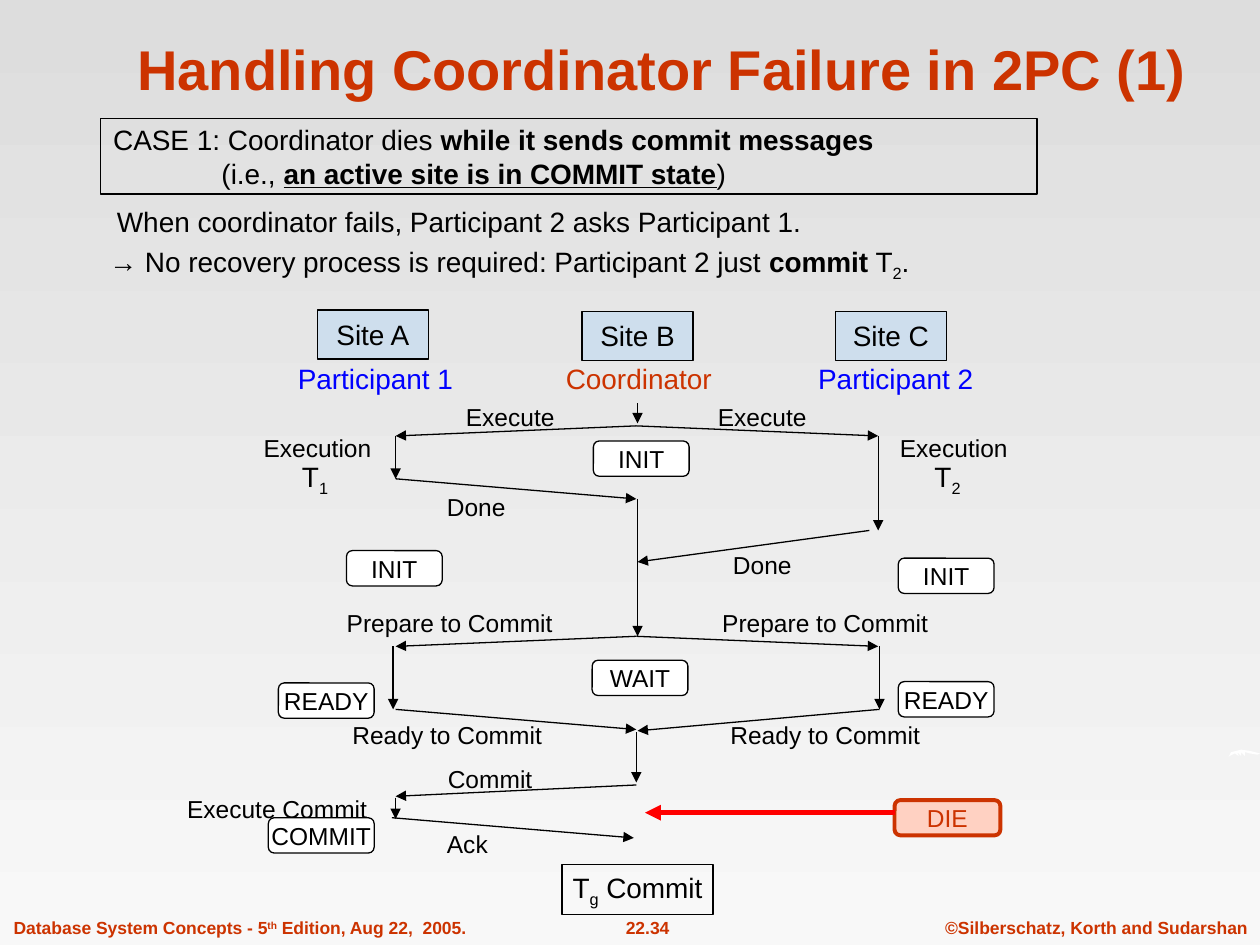
"""Build a slide on coordinator failure in two-phase commit."""
from lxml import etree
from pptx import Presentation
from pptx.dml.color import RGBColor
from pptx.enum.shapes import MSO_CONNECTOR, MSO_SHAPE
from pptx.enum.text import MSO_ANCHOR, PP_ALIGN
from pptx.oxml.ns import qn
from pptx.util import Inches, Pt

LEFT, CENTER, RIGHT = PP_ALIGN.LEFT, PP_ALIGN.CENTER, PP_ALIGN.RIGHT
MIDDLE, TOP, BOTTOM = MSO_ANCHOR.MIDDLE, MSO_ANCHOR.TOP, MSO_ANCHOR.BOTTOM
RECT, ROUNDED = MSO_SHAPE.RECTANGLE, MSO_SHAPE.ROUNDED_RECTANGLE
STRAIGHT = MSO_CONNECTOR.STRAIGHT

FONT = "Arial"
COLORS = {
    "black": "000000", "white": "FFFFFF", "rust": "CC3300", "blue": "0000FF",
    "red": "FF0000", "sky": "99CCFF", "peach": "FFD1C2",
    "page_top": "DDDDDD", "page_bottom": "F8F8F8",
}
BOLD = {"bold": True}
SUBSCRIPT = {"baseline": -25000}
SUPERSCRIPT = {"baseline": 30000}

TITLE = "Handling Coordinator Failure in 2PC (1)"
CASE = [
    ["CASE 1: Coordinator dies", (" while it sends commit messages", BOLD)],
    ["(i.e., ", ("an active site is in COMMIT state", {"bold": True, "underline": True}), ")"],
]
EXPLANATION = [
    ["When coordinator fails, Participant 2 asks Participant 1."],
    ["→ No recovery process is required: Participant 2 just ",
     ("commit", BOLD), " T", ("2", SUBSCRIPT), "."],
]
FOOTERS = [
    (["Database System Concepts - 5", ("th", SUPERSCRIPT), " Edition, Aug 22,  2005."],
     0.01, 3.79, LEFT),
    (["22.34"], 4.61, 1.06, CENTER),
    (["©Silberschatz, Korth and Sudarshan"], 7.0, 3.0, RIGHT),
]
SITES = [("Site A", 2.52, 2.46), ("Site B", 4.62, 2.47), ("Site C", 6.63, 2.47)]
ROLES = [("Participant 1", 2.98, "blue"), ("Coordinator", 5.07, "rust"),
         ("Participant 2", 7.11, "blue")]
MESSAGES = [
    ("Execute", 4.05, 3.31), ("Execute", 6.05, 3.31),
    ("Execution", 2.52, 3.55), ("Execution", 7.57, 3.55),
    ("Done", 3.78, 4.02), ("Done", 6.05, 4.48),
    ("Prepare to Commit", 3.57, 4.94), ("Prepare to Commit", 6.55, 4.94),
    ("Ready to Commit", 3.55, 5.83), ("Ready to Commit", 6.55, 5.83),
    ("Commit", 3.89, 6.18), ("Execute Commit", 2.2, 6.42), ("Ack", 3.71, 6.7),
]
TRANSACTIONS = [("1", 2.5), ("2", 7.52)]
STATES = [
    ("INIT", 4.71, 3.5, 0.76), ("INIT", 2.75, 4.37, 0.76), ("INIT", 7.13, 4.43, 0.76),
    ("WAIT", 4.7, 5.24, 0.76), ("READY", 2.21, 5.42, 0.76), ("READY", 7.13, 5.41, 0.76),
    ("COMMIT", 2.13, 6.49, 0.84),
]
ARROWS = [
    (3.14, 3.46, 3.14, 3.8), (3.14, 3.8, 5.05, 3.96), (5.05, 3.38, 3.14, 3.46),
    (5.05, 3.38, 6.97, 3.46), (6.97, 3.46, 6.97, 4.21), (5.06, 3.96, 5.06, 5.05),
    (6.9, 4.21, 5.06, 4.46), (5.05, 5.05, 3.14, 5.13), (5.05, 5.05, 6.97, 5.13),
    (6.98, 5.13, 6.98, 5.63), (6.98, 5.63, 5.06, 5.8), (3.12, 5.13, 3.12, 5.63),
    (3.14, 5.63, 5.05, 5.79), (5.05, 5.81, 5.05, 6.21), (5.05, 6.23, 3.14, 6.32),
    (3.14, 6.33, 3.14, 6.5), (3.11, 6.49, 5.03, 6.65), (5.06, 3.2, 5.06, 3.36),
]
WISP = [
    (9.75, 6.01), (9.77, 5.97), (9.81, 5.96), (9.85, 5.95), (9.92, 5.96), (10, 5.98),
    (9.98, 5.99), (9.92, 5.98), (9.88, 5.97), (9.88, 6), (9.85, 5.97), (9.85, 6),
    (9.82, 5.97), (9.83, 6), (9.8, 5.98), (9.76, 6),
]


def color(name):
    return RGBColor.from_string(COLORS[name])


def write(box, paragraphs, size=16, ink="black", bold=False, align=CENTER,
          anchor=MIDDLE, margin=0.1, indents=(0, 0), gap=0):
    frame = box.text_frame
    frame.word_wrap = True
    frame.vertical_anchor = anchor
    frame.margin_left = frame.margin_right = Inches(margin)
    frame.margin_top = frame.margin_bottom = Inches(margin / 2)
    for index, spans in enumerate(paragraphs):
        para = frame.add_paragraph() if index else frame.paragraphs[0]
        para.alignment = align
        if indents[index]:
            para._p.get_or_add_pPr().set("marL", str(Inches(indents[index])))
        if index and gap:
            para.space_before = Pt(gap)
        for item in spans:
            text, style = (item, {}) if isinstance(item, str) else item
            span = para.add_run()
            span.text = text
            span.font.name, span.font.size = FONT, Pt(size)
            span.font.color.rgb = color(ink)
            span.font.bold = style.get("bold", bold)
            span.font.underline = style.get("underline", False)
            if "baseline" in style:
                span.font._element.set("baseline", str(style["baseline"]))


def add_text(page, paragraphs, left, top, width, height, **style):
    box = page.shapes.add_textbox(*map(Inches, (left, top, width, height)))
    write(box, paragraphs, **style)


def add_label(page, spans, center_x, center_y, **style):
    width, height = 2, 0.3
    add_text(page, [spans], center_x - width / 2, center_y - height / 2,
             width, height, margin=0, **style)


def add_node(page, paragraphs, left, top, width, height, kind=RECT, fill=None,
             alpha=None, edge="black", weight=0.75, **style):
    box = page.shapes.add_shape(kind, *map(Inches, (left, top, width, height)))
    box.shadow.inherit = False
    if fill:
        box.fill.solid()
        box.fill.fore_color.rgb = color(fill)
    else:
        box.fill.background()
    if alpha:
        tint = box._element.spPr.find(qn("a:solidFill"))[0]
        etree.SubElement(tint, qn("a:alpha"), val=str(alpha * 1000))
    box.line.color.rgb = color(edge)
    box.line.width = Pt(weight)
    write(box, paragraphs, **style)


def add_arrow(page, ends, ink="black", weight=0.75):
    arrow = page.shapes.add_connector(STRAIGHT, *map(Inches, ends))
    arrow.line.color.rgb = color(ink)
    arrow.line.width = Pt(weight)
    etree.SubElement(arrow.line._get_or_add_ln(), qn("a:tailEnd"), type="triangle")
    etree.SubElement(arrow._element.spPr, qn("a:effectLst"))


def add_wisp(page):
    points = [(Inches(x), Inches(y)) for x, y in WISP]
    builder = page.shapes.build_freeform(*points[0])
    builder.add_line_segments(points[1:], close=True)
    wisp = builder.convert_to_shape()
    wisp.shadow.inherit = False
    wisp.fill.solid()
    wisp.fill.fore_color.rgb = color("white")
    wisp.line.fill.background()


def main():
    deck = Presentation()
    deck.slide_width, deck.slide_height = Inches(10), Inches(7.5)
    page = deck.slides.add_slide(deck.slide_layouts[6])
    backdrop = page.background.fill
    backdrop.gradient()
    backdrop.gradient_angle = 270
    for stop, name in zip(backdrop.gradient_stops, ("page_top", "page_bottom")):
        stop.color.rgb = color(name)

    for spans, left, width, align in FOOTERS:
        add_text(page, [spans], left, 7.23, width, 0.27,
                 size=10, ink="rust", bold=True, align=align)
    add_wisp(page)
    add_text(page, [[TITLE]], 0.84, 0.19, 8.83, 0.67,
             size=32, ink="rust", bold=True, anchor=BOTTOM)
    add_text(page, EXPLANATION, 0.71, 1.57, 9.13, 0.72,
             align=LEFT, anchor=TOP, indents=(0.12, 0.06), gap=4)

    for role, center_x, ink in ROLES:
        add_label(page, [role], center_x, 3.0, ink=ink)
    for message, center_x, center_y in MESSAGES:
        add_label(page, [message], center_x, center_y, size=14)
    for ends in ARROWS:
        add_arrow(page, ends)
    for site, left, top in SITES:
        add_node(page, [[site]], left, top, 0.88, 0.39, fill="sky", alpha=30)
    for number, center_x in TRANSACTIONS:
        add_label(page, ["T", (number, SUBSCRIPT)], center_x, 3.8)
    for state, left, top, width in STATES:
        add_node(page, [[state]], left, top, width, 0.28, kind=ROUNDED,
                 fill="white", size=14, margin=0)
    add_node(page, [["DIE"]], 7.1, 6.35, 0.84, 0.28, kind=ROUNDED, fill="peach",
             edge="rust", weight=2.25, size=14, ink="rust", margin=0)
    add_node(page, CASE, 0.8, 0.94, 7.43, 0.6, align=LEFT, indents=(0, 0.86))
    add_node(page, [["T", ("g", SUBSCRIPT), " Commit"]], 4.46, 6.86, 1.2, 0.4, margin=0)
    add_arrow(page, (7.1, 6.45, 5.12, 6.45), ink="red", weight=3)
    deck.save("out.pptx")


if __name__ == "__main__":
    main()
